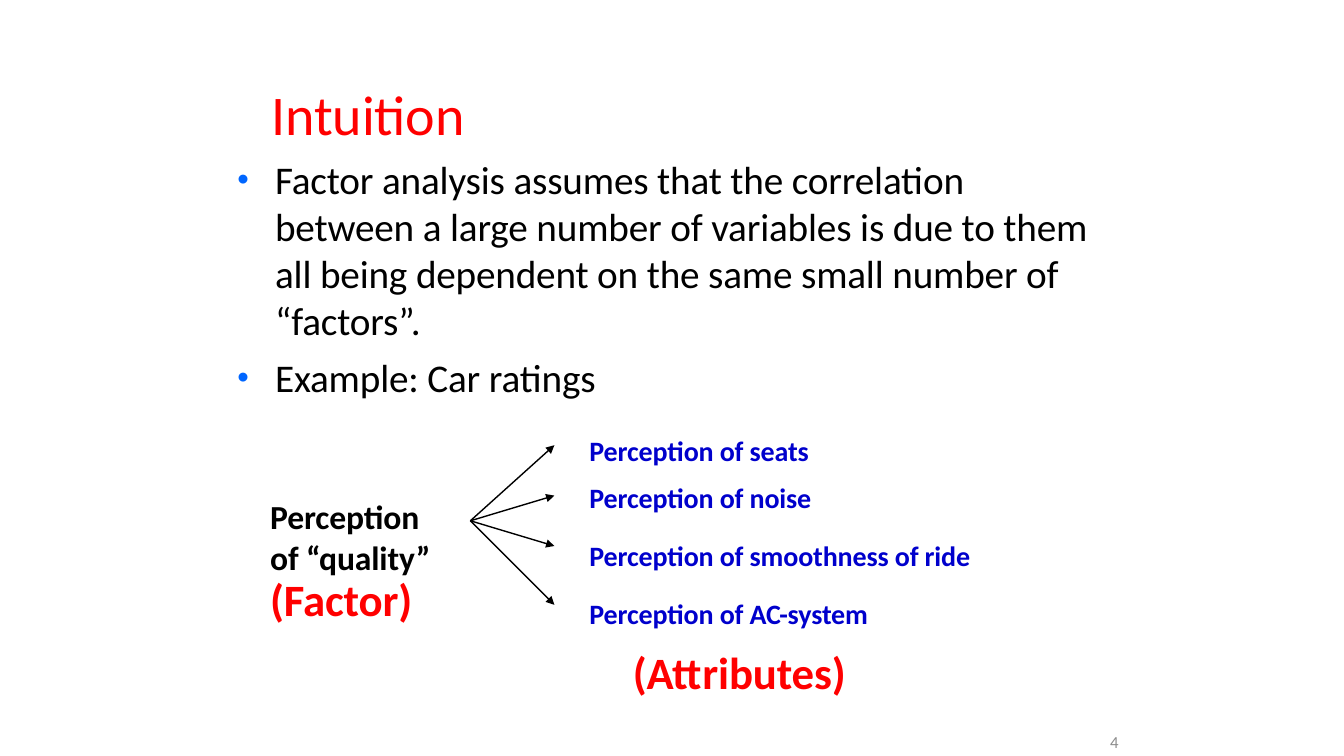
"""Build the slide on the intuition behind factor analysis."""
from lxml.etree import SubElement
from pptx import Presentation
from pptx.dml.color import RGBColor
from pptx.enum.shapes import MSO_CONNECTOR
from pptx.enum.text import MSO_ANCHOR, MSO_AUTO_SIZE, PP_ALIGN
from pptx.oxml.ns import qn
from pptx.util import Pt

FONT = "Calibri"
COLORS = {
    "accent": "FF0000",
    "text": "000000",
    "attribute": "0000CC",
    "bullet": "0066FF",
    "number": "8C8C8C",
}
ATTRIBUTE = {"size": 20, "color": "attribute", "bold": True}
HEADING = {"size": 32, "color": "accent", "bold": True}
ATTRIBUTE_LEFT = 421


def place(box, left, top, width, height):
    """Set the position and size of a box."""
    box.left, box.top = Pt(left), Pt(top)
    box.width, box.height = Pt(width), Pt(height)


def prepare_frame(box, anchor=MSO_ANCHOR.TOP):
    """Give a box wrapped text without margins."""
    frame = box.text_frame
    frame.word_wrap = True
    frame.auto_size = MSO_AUTO_SIZE.NONE
    frame.vertical_anchor = anchor
    frame.margin_left = frame.margin_right = Pt(0)
    frame.margin_top = frame.margin_bottom = Pt(0)
    return frame


def format_para(para, size, color, bold=False, before=0, margin=0, indent=0,
                align=PP_ALIGN.LEFT, spacing=1.0):
    """Format a paragraph and its runs."""
    para.alignment = align
    para.space_before = Pt(before)
    para.line_spacing = spacing
    properties = para._p.get_or_add_pPr()
    properties.set("marL", str(Pt(margin)))
    properties.set("indent", str(Pt(indent)))
    for span in para.runs:
        span.font.name = FONT
        span.font.size = Pt(size)
        span.font.bold = bold
        span.font.color.rgb = RGBColor.from_string(COLORS[color])
        span._r.get_or_add_rPr().set("spc", "-10")


def add_bullet(para):
    """Put a coloured round bullet before a paragraph."""
    properties = para._p.get_or_add_pPr()
    color = SubElement(properties, qn("a:buClr"))
    SubElement(color, qn("a:srgbClr"), val=COLORS["bullet"])
    SubElement(properties, qn("a:buSzPct"), val="84000")
    SubElement(properties, qn("a:buFont"), typeface="Arial")
    SubElement(properties, qn("a:buChar"), char="•")


def remove_bullet(para):
    """Switch off the inherited bullet of a paragraph."""
    SubElement(para._p.get_or_add_pPr(), qn("a:buNone"))


def fill_title(title):
    """Write the slide title."""
    place(title, 186, 57, 720, 48)
    frame = prepare_frame(title, MSO_ANCHOR.MIDDLE)
    frame.text = "Intuition"
    format_para(frame.paragraphs[0], 40, "accent", margin=8)


def fill_body(body):
    """Write the two bullets and the first attribute."""
    place(body, 168.5, 111, 617, 225)
    frame = prepare_frame(body)
    frame.text = (
        "Factor analysis assumes that the correlation between a large number "
        "of variables is due to them all being dependent on the same small "
        "number of “factors”.\n"
        "Example: Car ratings\n"
        "Perception of seats"
    )
    assumption, example, seats = frame.paragraphs
    for para, before in ((assumption, 0), (example, 6.8)):
        format_para(para, 28, "text", before=before, margin=28, indent=-27)
        add_bullet(para)
    format_para(seats, before=23.8, margin=ATTRIBUTE_LEFT - 168.5, **ATTRIBUTE)
    remove_bullet(seats)


def add_text(page, left, top, width, height, lines, anchor=MSO_ANCHOR.TOP):
    """Add a text box from pairs of text and paragraph format."""
    box = page.shapes.add_textbox(Pt(left), Pt(top), Pt(width), Pt(height))
    frame = prepare_frame(box, anchor)
    frame.text = "\n".join(text for text, _ in lines)
    for para, (_, style) in zip(frame.paragraphs, lines):
        format_para(para, **style)


def add_arrow(page, start, end):
    """Add a thin black arrow between two points."""
    points = [Pt(value) for value in (*start, *end)]
    arrow = page.shapes.add_connector(MSO_CONNECTOR.STRAIGHT, *points)
    arrow.line.width = Pt(1)
    arrow.line.color.rgb = RGBColor.from_string(COLORS["text"])
    SubElement(arrow.line._get_or_add_ln(), qn("a:tailEnd"), type="triangle")
    SubElement(arrow._element.spPr, qn("a:effectLst"))


def main():
    """Build and save the slide."""
    deck = Presentation()
    deck.slide_width, deck.slide_height = Pt(960), Pt(540)
    page = deck.slides.add_slide(deck.slide_layouts[1])
    title, body = page.placeholders
    fill_title(title)
    fill_body(body)

    add_text(page, ATTRIBUTE_LEFT, 343, 163, 24,
             [("Perception of noise", ATTRIBUTE)])
    add_text(page, ATTRIBUTE_LEFT, 384.5, 278, 24,
             [("Perception of smoothness of ride", ATTRIBUTE)])
    add_text(page, ATTRIBUTE_LEFT, 426, 205, 74, [
        ("Perception of AC-system", ATTRIBUTE),
        ("(Attributes)", {**HEADING, "before": 10.7, "margin": 31}),
    ])

    for end_top in (318, 354, 390, 432):
        add_arrow(page, (336, 372), (396, end_top))

    add_text(page, 193, 354.5, 130, 92, [
        ("Perception of “quality”", {"size": 24, "color": "text", "bold": True}),
        ("(Factor)", {**HEADING, "spacing": Pt(34.4)}),
    ])
    add_text(page, 782, 519, 17, 21,
             [("4", {"size": 12, "color": "number", "align": PP_ALIGN.RIGHT})],
             MSO_ANCHOR.MIDDLE)
    deck.save("out.pptx")


if __name__ == "__main__":
    main()
